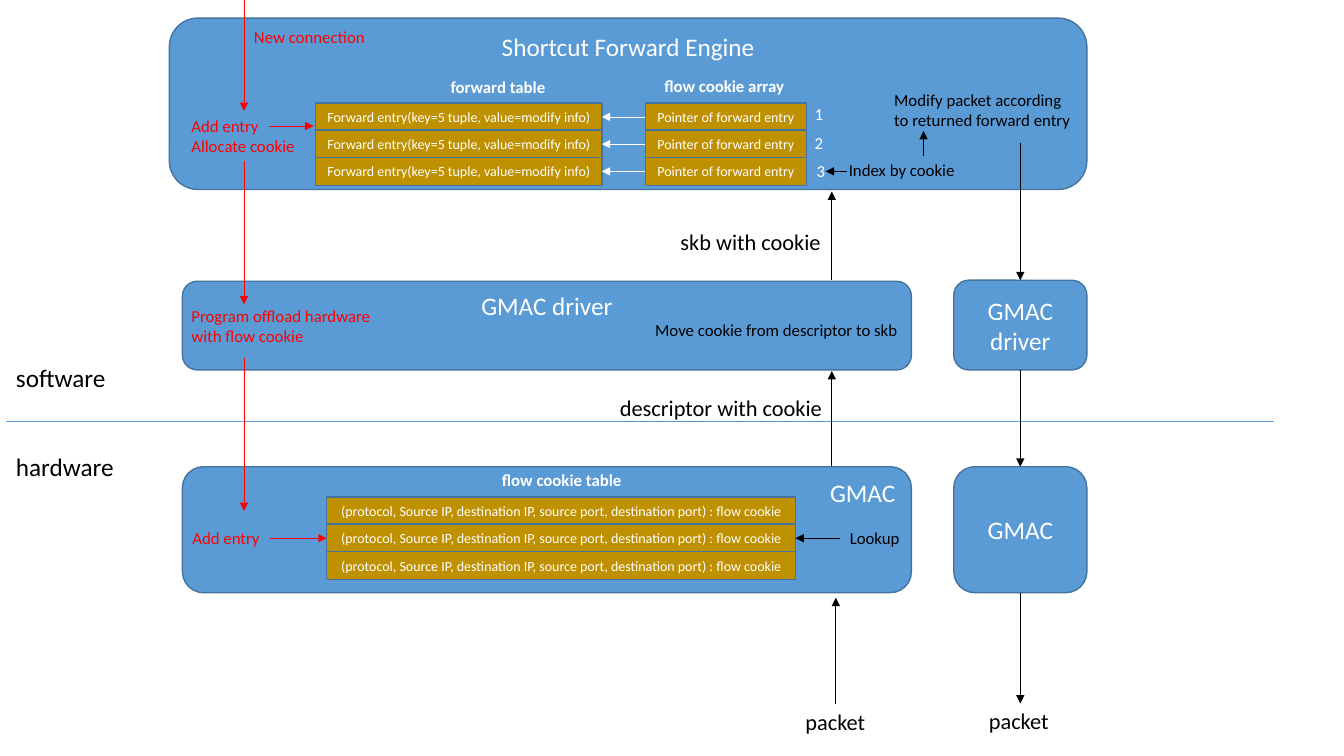
"""Build the slide on hardware flow offload with a shortcut forward engine."""
from dataclasses import dataclass
from typing import Optional

from lxml import etree
from pptx import Presentation
from pptx.dml.color import RGBColor
from pptx.enum.shapes import MSO_CONNECTOR, MSO_SHAPE
from pptx.enum.text import MSO_ANCHOR, MSO_AUTO_SIZE, PP_ALIGN
from pptx.oxml.ns import qn
from pptx.util import Emu, Pt

PX = 9144
FONT = "Calibri"
BLUE, OUTLINE, GOLD = "5B9BD5", "43739E", "BF9000"
WHITE, BLACK, RED = "FFFFFF", "000000", "FF0000"
ROUNDED, RECTANGLE = MSO_SHAPE.ROUNDED_RECTANGLE, MSO_SHAPE.RECTANGLE
STRAIGHT = MSO_CONNECTOR.STRAIGHT
TOP, MIDDLE = MSO_ANCHOR.TOP, MSO_ANCHOR.MIDDLE
LEFT_ALIGN, CENTER, RIGHT_ALIGN = PP_ALIGN.LEFT, PP_ALIGN.CENTER, PP_ALIGN.RIGHT
GROW = MSO_AUTO_SIZE.SHAPE_TO_FIT_TEXT
SITE_TOP, SITE_LEFT, SITE_BOTTOM, SITE_RIGHT = range(4)
ROW_PITCH, ROW_HEIGHT, ROW_COUNT = 27, 28, 3


@dataclass(frozen=True)
class Box:
    """A filled block of the diagram, in px."""
    key: str
    text: str
    left: int
    top: int
    width: int
    height: int
    fill: str = BLUE
    size: int = 18
    kind: int = ROUNDED
    anchor: int = MIDDLE
    align: int = CENTER


@dataclass(frozen=True)
class Stack:
    """A stack of equal table entries, in px."""
    key: str
    text: str
    left: int
    top: int
    width: int


@dataclass(frozen=True)
class Label:
    """A free text of the diagram, in px."""
    text: str
    left: int
    top: int
    width: int
    height: int = 30
    size: int = 12
    color: str = BLACK
    bold: bool = False
    wrap: bool = False


@dataclass(frozen=True)
class Joint:
    """A connection site on a named box."""
    key: str
    site: int


@dataclass(frozen=True)
class Line:
    """A straight line, in px, with optional joints at its ends."""
    x1: int
    y1: int
    x2: int
    y2: int
    color: str = BLACK
    start: Optional[Joint] = None
    end: Optional[Joint] = None
    arrow: bool = True


BOXES = [
    Box("engine", "Shortcut Forward Engine", 168, 18, 910, 170, anchor=TOP),
    Box("receive driver", "GMAC driver", 181, 279, 723, 88, anchor=TOP),
    Box("receive GMAC", "GMAC", 181, 463, 723, 125, anchor=TOP, align=RIGHT_ALIGN),
    Box("send driver", "GMAC driver", 946, 278, 132, 89),
    Box("send GMAC", "GMAC", 946, 463, 132, 125),
]

STACKS = [
    Stack("forward", "Forward entry(key=5 tuple, value=modify info)", 313, 102, 284),
    Stack("pointer", "Pointer of forward entry", 640, 102, 160),
    Stack("flow", "(protocol, Source IP, destination IP, source port, "
          "destination port) : flow cookie", 324, 493, 465),
]

LABELS = [
    Label("software", 6, 355, 110, 40, 18),
    Label("hardware", 6, 443, 118, 40, 18),
    Label("forward table", 437, 71, 115, color=WHITE, bold=True),
    Label("flow cookie array", 649, 70, 141, color=WHITE, bold=True),
    Label("flow cookie table", 488, 461, 141, color=WHITE, bold=True),
    Label("1", 798, 98, 29, color=WHITE),
    Label("2", 798, 127, 29, color=WHITE),
    Label("3", 800, 155, 29, color=WHITE),
    Label("New connection", 242, 22, 132, color=RED),
    Label("Add entry\nAllocate cookie", 180, 110, 124, 50, color=RED),
    Label("Program offload hardware\nwith flow cookie", 180, 298, 200, 50, color=RED),
    Label("Add entry", 181, 519, 87, color=RED),
    Label("Lookup", 833, 519, 70),
    Label("Move cookie from descriptor to skb", 640, 312, 264),
    Label("Index by cookie", 832, 154, 132, wrap=True),
    Label("Modify packet according to returned forward entry", 877, 84, 201, 50, wrap=True),
    Label("skb with cookie", 665, 221, 161, 37, 16),
    Label("descriptor with cookie", 605, 386, 223, 37, 16),
    Label("packet", 789, 698, 80, 37, 16),
    Label("packet", 971, 697, 80, 37, 16),
]

BOUNDARY = Line(6, 418, 1264, 418, BLUE, arrow=False)
LOOKUP_LINES = [
    Line(640, 116 + row * ROW_PITCH, 597, 116 + row * ROW_PITCH, WHITE,
         Joint(f"pointer {row}", SITE_LEFT), Joint(f"forward {row}", SITE_RIGHT))
    for row in range(ROW_COUNT)
]
FLOW_LINES = [
    Line(242, 0, 242, 110, RED),
    Line(242, 160, 242, 302, RED),
    Line(242, 355, 242, 507, RED),
    Line(267, 125, 311, 125, RED),
    Line(268, 534, 324, 534, RED, end=Joint("flow 1", SITE_LEFT)),
    Line(833, 534, 789, 534, end=Joint("flow 1", SITE_RIGHT)),
    Line(829, 698, 829, 593),
    Line(825, 462, 825, 368),
    Line(825, 278, 825, 190),
    Line(840, 170, 819, 170),
    Line(916, 155, 916, 130),
    Line(1012, 142, 1012, 278, end=Joint("send driver", SITE_TOP)),
    Line(1012, 367, 1012, 463, start=Joint("send driver", SITE_BOTTOM),
         end=Joint("send GMAC", SITE_TOP)),
    Line(1012, 588, 1012, 698, start=Joint("send GMAC", SITE_BOTTOM)),
]


def px(length: int) -> Emu:
    """Turn px into EMU."""
    return Emu(length * PX)


def rgb(color: str) -> RGBColor:
    """Turn a hex string into a colour."""
    return RGBColor.from_string(color)


def write(frame, text: str, size: int, color: str, align: int, bold: bool = False) -> None:
    """Fill a text frame and format its runs."""
    frame.text = text
    for paragraph in frame.paragraphs:
        paragraph.alignment = align
        for run in paragraph.runs:
            run.font.name = FONT
            run.font.size = Pt(size)
            run.font.bold = bold
            run.font.color.rgb = rgb(color)


def draw_box(slide, box: Box):
    """Draw a block and return its shape."""
    block = slide.shapes.add_shape(
        box.kind, px(box.left), px(box.top), px(box.width), px(box.height))
    block.shadow.inherit = False
    block.fill.solid()
    block.fill.fore_color.rgb = rgb(box.fill)
    block.line.color.rgb = rgb(OUTLINE)
    block.line.width = Pt(1)
    block.text_frame.word_wrap = True
    block.text_frame.vertical_anchor = box.anchor
    write(block.text_frame, box.text, box.size, WHITE, box.align)
    return block


def stack_entries(stack: Stack) -> list[Box]:
    """List the entries of a stack from top to bottom."""
    return [Box(f"{stack.key} {row}", stack.text, stack.left, stack.top + row * ROW_PITCH,
                stack.width, ROW_HEIGHT, GOLD, 10, RECTANGLE) for row in range(ROW_COUNT)]


def draw_label(slide, label: Label) -> None:
    """Draw a free text."""
    frame = slide.shapes.add_textbox(
        px(label.left), px(label.top), px(label.width), px(label.height)).text_frame
    frame.word_wrap = label.wrap
    frame.auto_size = GROW
    write(frame, label.text, label.size, label.color, LEFT_ALIGN, label.bold)


def draw_line(slide, line: Line, blocks: dict) -> None:
    """Draw a line and join its ends to blocks."""
    connector = slide.shapes.add_connector(
        STRAIGHT, px(line.x1), px(line.y1), px(line.x2), px(line.y2))
    connector.line.color.rgb = rgb(line.color)
    connector.line.width = Pt(0.5)
    if line.arrow:
        etree.SubElement(connector.line._get_or_add_ln(), qn("a:tailEnd"), type="triangle")
    etree.SubElement(connector._element.spPr, qn("a:effectLst"))
    if line.start:
        connector.begin_connect(blocks[line.start.key], line.start.site)
    if line.end:
        connector.end_connect(blocks[line.end.key], line.end.site)


def main() -> None:
    """Build and save the slide."""
    deck = Presentation()
    deck.slide_width, deck.slide_height = px(1333), px(750)
    slide = deck.slides.add_slide(deck.slide_layouts[6])
    draw_line(slide, BOUNDARY, {})
    entries = [entry for stack in STACKS for entry in stack_entries(stack)]
    blocks = {box.key: draw_box(slide, box) for box in BOXES + entries}
    for label in LABELS:
        draw_label(slide, label)
    for line in LOOKUP_LINES + FLOW_LINES:
        draw_line(slide, line, blocks)
    deck.save("out.pptx")


if __name__ == "__main__":
    main()
